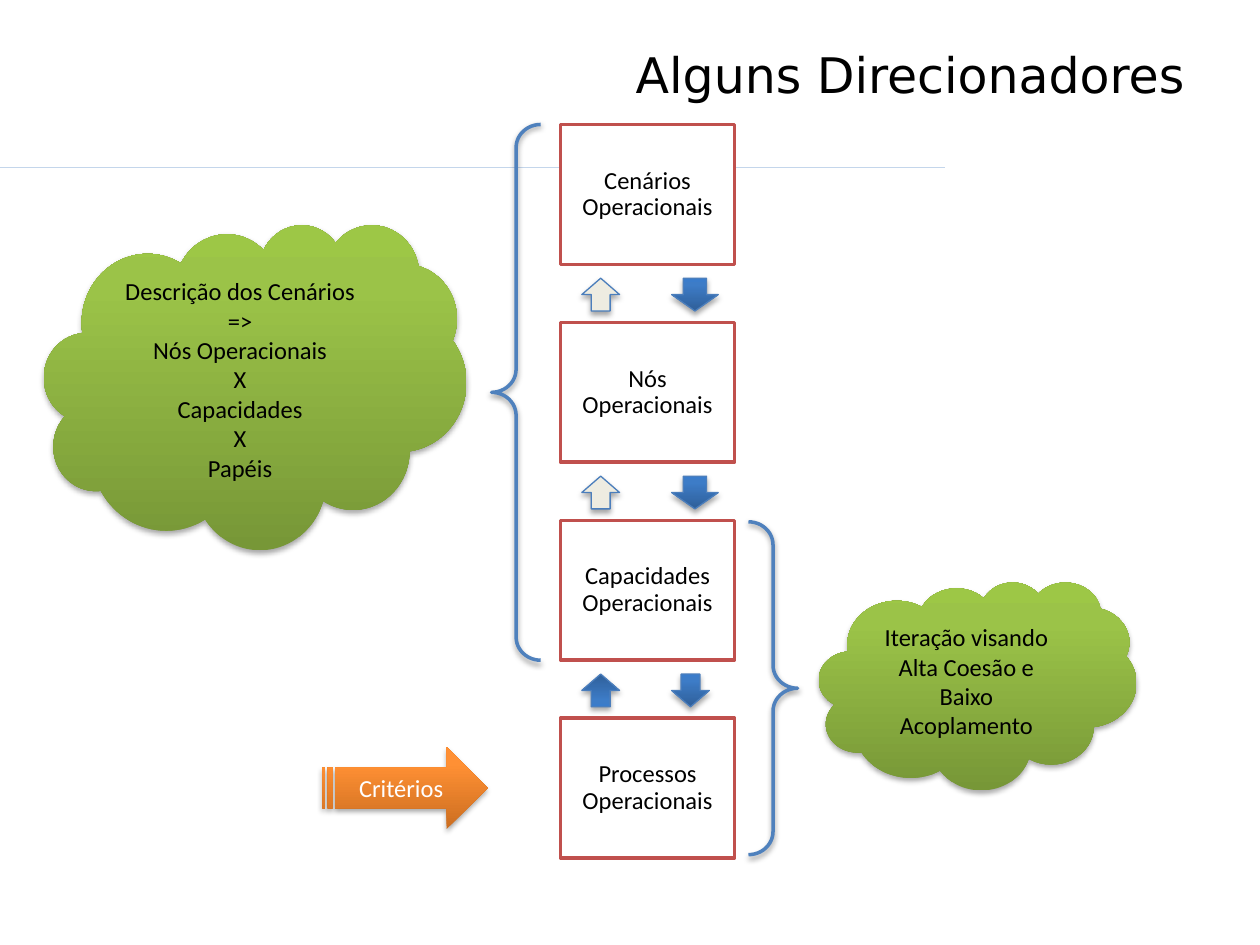
from dataclasses import dataclass

from lxml.etree import SubElement
from pptx import Presentation
from pptx.dml.color import RGBColor
from pptx.enum.shapes import MSO_CONNECTOR, MSO_SHAPE
from pptx.enum.text import MSO_ANCHOR, PP_ALIGN
from pptx.oxml.ns import qn
from pptx.util import Cm, Pt


@dataclass(frozen=True)
class Theme:
    title_font: str = "DejaVu Sans"
    body_font: str = "Calibri"
    title_size: int = 28
    body_size: int = 14
    ink: str = "000000"
    paper: str = "FFFFFF"
    rule: str = "C4D6EB"
    stage_edge: str = "C0504D"
    arrow_edge: str = "4B7EBC"
    brace_edge: str = "4F81BD"
    pale: str = "EEECE1"
    blue: tuple = ("2F5F99", "3D7CC7", "3A7CCB")
    green: tuple = ("779737", "9BC348", "9DC746")
    orange: tuple = ("CC6E20", "FF9034", "FF9136")


@dataclass(frozen=True)
class Box:
    left: float
    top: float
    width: float
    height: float

    def within(self, left, top, width, height):
        return Box(self.left + left, self.top + top, width, height)

    def lengths(self):
        return [Cm(v) for v in (self.left, self.top, self.width, self.height)]


THEME = Theme()
STAGES = ["Cenários Operacionais", "Nós Operacionais",
          "Capacidades Operacionais", "Processos Operacionais"]
SCENARIO_LINES = ["Descrição dos Cenários", "=>", "Nós Operacionais", "X",
                  "Capacidades", "X", "Papéis"]
STAGE_HEIGHT = 2.82
STAGE_STEP = 3.99


def paint(shape, fill):
    if fill is None:
        shape.fill.background()
    elif isinstance(fill, str):
        shape.fill.solid()
        shape.fill.fore_color.rgb = RGBColor.from_string(fill)
    else:
        shape.fill.gradient()
        gradient = shape._element.spPr.find(qn("a:gradFill"))
        for child in list(gradient):
            gradient.remove(child)
        stops = SubElement(gradient, qn("a:gsLst"))
        for position, colour in zip((0, 80000, 100000), fill):
            stop = SubElement(stops, qn("a:gs"), pos=str(position))
            SubElement(stop, qn("a:srgbClr"), val=colour)
        SubElement(gradient, qn("a:lin"), ang="16200000", scaled="0")


def outline(shape, colour, width):
    if colour is None:
        shape.line.fill.background()
    else:
        shape.line.color.rgb = RGBColor.from_string(colour)
        shape.line.width = Pt(width)


def cast_shadow(shape, distance, opacity):
    effects = shape._element.spPr.find(qn("a:effectLst"))
    shadow = SubElement(effects, qn("a:outerShdw"), blurRad=str(Pt(3.1)),
                        dist=str(Pt(distance)), dir="5400000", rotWithShape="0")
    colour = SubElement(shadow, qn("a:srgbClr"), val=THEME.ink)
    SubElement(colour, qn("a:alpha"), val=str(opacity * 1000))


def add_preset(slide, preset, box, fill, edge=None, edge_width=0.75,
               shadow=(1.8, 35), flip=None):
    shape = slide.shapes.add_shape(preset, *box.lengths())
    shape.shadow.inherit = False
    paint(shape, fill)
    outline(shape, edge, edge_width)
    if shadow:
        cast_shadow(shape, *shadow)
    if flip:
        shape._element.spPr.find(qn("a:xfrm")).set(flip, "1")
    return shape


def write(shape, lines, colour, size=THEME.body_size, font=THEME.body_font,
          align=PP_ALIGN.CENTER, anchor=MSO_ANCHOR.MIDDLE, spacing=None):
    frame = shape.text_frame
    frame.word_wrap = True
    frame.vertical_anchor = anchor
    for index, line in enumerate(lines):
        paragraph = frame.add_paragraph() if index else frame.paragraphs[0]
        paragraph.alignment = align
        if spacing:
            paragraph.line_spacing = spacing
        run = paragraph.add_run()
        run.text = line
        run.font.name = font
        run.font.size = Pt(size)
        run.font.color.rgb = RGBColor.from_string(colour)


def place_heading(slide, box):
    title = slide.shapes.title
    title.left, title.top, title.width, title.height = box.lengths()
    write(title, ["Alguns Direcionadores"], THEME.ink, THEME.title_size,
          THEME.title_font, PP_ALIGN.RIGHT, MSO_ANCHOR.TOP)


def place_rule(slide, box):
    left, top, width, _ = box.lengths()
    rule = slide.shapes.add_connector(MSO_CONNECTOR.STRAIGHT, left, top, left + width, top)
    outline(rule, THEME.rule, 0.75)
    SubElement(rule._element.spPr, qn("a:effectLst"))


def place_exchange(slide, box, up_fill, down_width):
    add_preset(slide, MSO_SHAPE.DOWN_ARROW, box.within(2.24, 0, down_width, box.height),
               THEME.blue, THEME.arrow_edge)
    add_preset(slide, MSO_SHAPE.DOWN_ARROW, box.within(0.43, 0, 0.76, box.height),
               up_fill, THEME.arrow_edge, flip="flipV")


def place_stages(slide, box):
    last = len(STAGES) - 1
    for index, label in enumerate(STAGES):
        top = index * STAGE_STEP
        stage = add_preset(slide, MSO_SHAPE.RECTANGLE,
                           box.within(0, top, box.width, STAGE_HEIGHT),
                           THEME.paper, THEME.stage_edge, 2, shadow=None)
        frame = stage.text_frame
        frame.margin_left = frame.margin_right = Cm(0.05)
        frame.margin_top = frame.margin_bottom = Cm(0.05)
        write(stage, [label], THEME.ink, spacing=0.9)
        if index < last:
            final = index == last - 1
            place_exchange(slide, box.within(0, top + STAGE_HEIGHT + 0.28, box.width, 0.66),
                           THEME.blue if final else THEME.pale, 0.76 if final else 0.94)


def place_remark(slide, cloud_box, brace_box, lines, flip=None):
    cloud = add_preset(slide, MSO_SHAPE.CLOUD, cloud_box, THEME.green)
    write(cloud, lines, THEME.ink)
    brace = add_preset(slide, MSO_SHAPE.LEFT_BRACE, brace_box, None, THEME.brace_edge, 2,
                       shadow=(1.6, 38), flip=flip)
    brace.adjustments[0] = 0.47
    brace.adjustments[1] = 0.5


def place_criteria(slide, box):
    arrow = add_preset(slide, MSO_SHAPE.STRIPED_RIGHT_ARROW, box, THEME.orange)
    write(arrow, ["Critérios"], THEME.paper)


def main():
    deck = Presentation()
    deck.slide_width, deck.slide_height = Cm(25.4), Cm(19.05)
    slide = deck.slides.add_slide(deck.slide_layouts[5])
    place_rule(slide, Box(0, 3.38, 19.05, 0))
    place_heading(slide, Box(1.27, 0.76, 22.86, 3.18))
    place_stages(slide, Box(11.3, 2.51, 3.51, 3 * STAGE_STEP + STAGE_HEIGHT))
    place_remark(slide, Box(0.89, 4.52, 8.51, 6.55), Box(9.91, 2.51, 0.99, 10.8),
                 SCENARIO_LINES)
    place_remark(slide, Box(16.51, 11.73, 6.4, 4.19), Box(15.09, 10.52, 0.99, 6.71),
                 ["Iteração visando Alta Coesão e Baixo Acoplamento"], flip="flipH")
    place_criteria(slide, Box(6.5, 15.06, 3.33, 1.65))
    deck.save("out.pptx")


if __name__ == "__main__":
    main()
